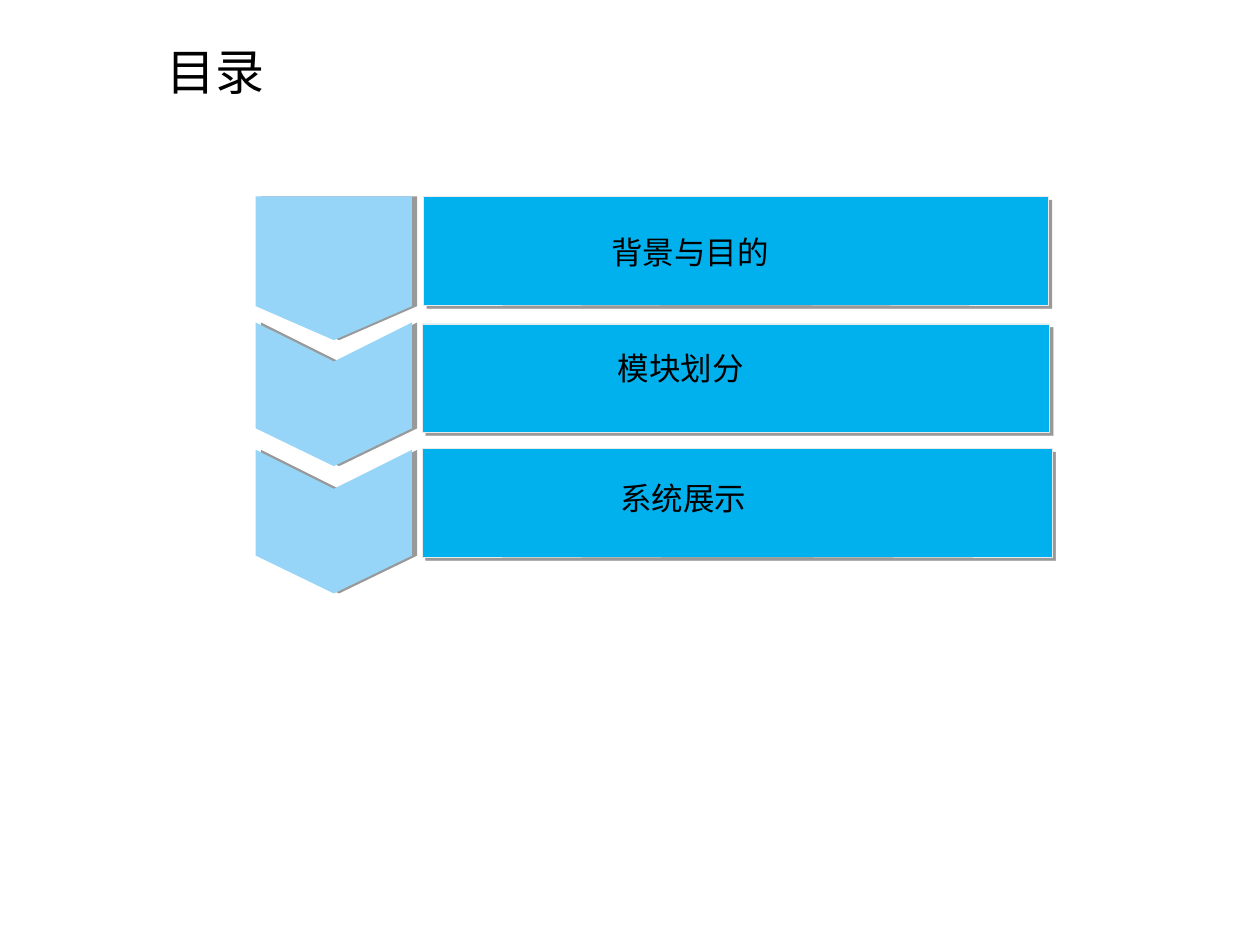
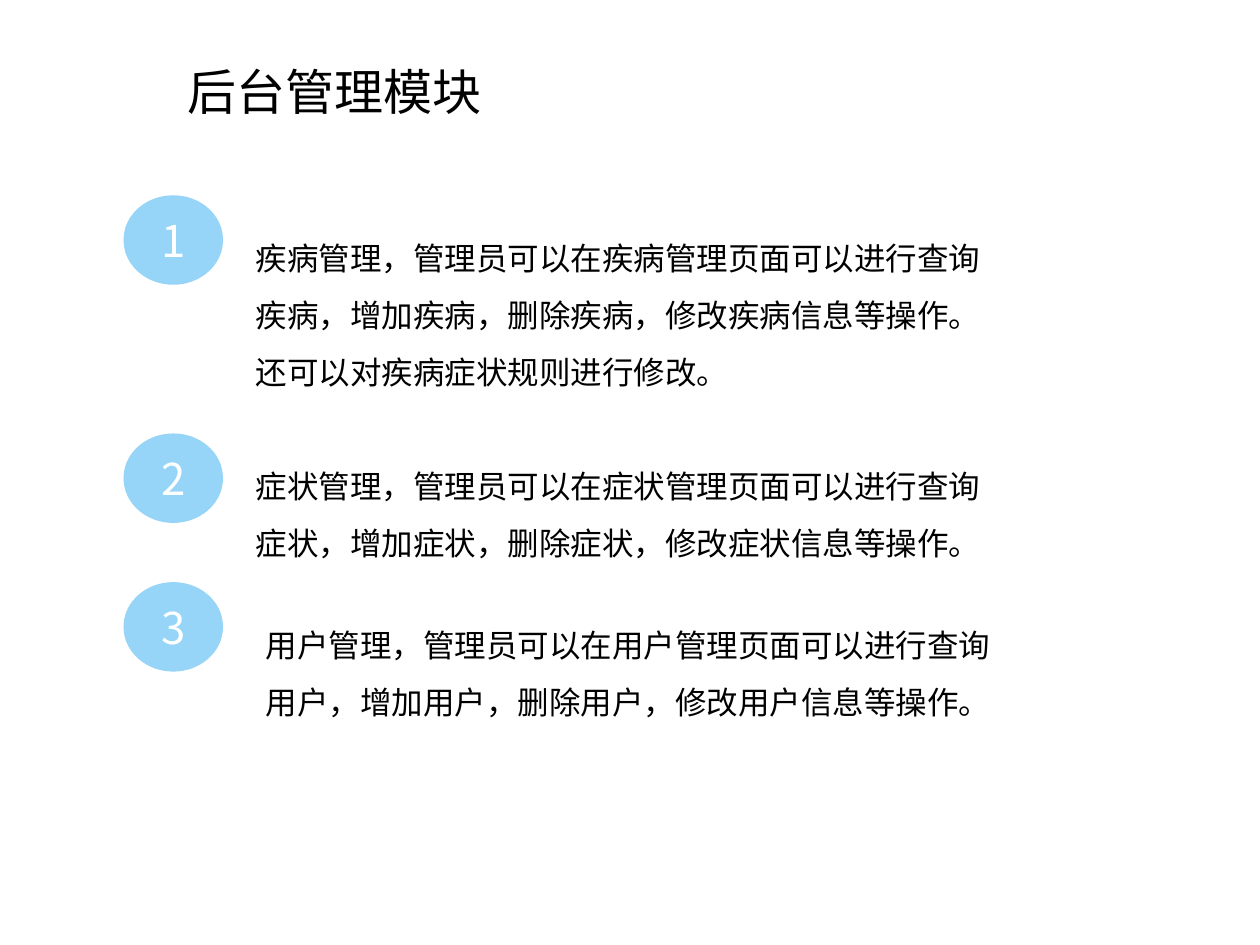
"""Build a contents slide and a back-office module slide."""
from lxml import etree
from pptx import Presentation, util as u
from pptx.dml.color import RGBColor
from pptx.enum import shapes, text
from pptx.oxml.ns import qn

BLUE, PALE, EDGE, BLACK, WHITE = "01B1ED", "96D5F7", "EAEAEA", "000000", "FFFFFF"
HAN, NUMERAL, LATIN = "Noto Sans CJK SC", "Noto Sans CJK JP", "Arial"
LEFT, CENTER = text.PP_ALIGN.LEFT, text.PP_ALIGN.CENTER


def paint(fill, color):
    fill.solid()
    fill.fore_color.rgb = RGBColor.from_string(color)


def write(box, words, size, align=LEFT, font=HAN, color=BLACK, spacing=1.0,
          anchor=text.MSO_ANCHOR.TOP):
    frame = box.text_frame
    frame.word_wrap = True
    frame.auto_size = text.MSO_AUTO_SIZE.NONE
    frame.vertical_anchor = anchor
    para = frame.paragraphs[0]
    para.alignment, para.line_spacing = align, spacing
    span = para.add_run()
    span.text = words
    span.font.size, span.font.name = u.Pt(size), font
    paint(span.font.fill, color)
    asian = etree.SubElement(span.font._element, qn("a:ea"))
    asian.set("typeface", HAN if font == LATIN else font)


deck = Presentation()
deck.slide_width, deck.slide_height = u.Inches(10), u.Inches(7.5)
col, row = deck.slide_width // 1000, deck.slide_height // 750

pages = []
for heading, left, top in [("目录", 122, 28), ("后台管理模块", 139, 44)]:
    page = deck.slides.add_slide(deck.slide_layouts[5])
    title = page.shapes.title
    title.left, title.top = left * col, top * row
    title.width, title.height = 320 * col, 57 * row
    write(title, heading, 28)
    pages.append(page)
contents, module = pages

chapters = [
    ("背景与目的", 156, 156, 336, 496, 461, 180, 0),
    ("模块划分", 257, 256, 335, 498, 454, 272, 31),
    ("系统展示", 356, 357, 335, 500, 456, 375, 31),
]
for chapter, bar_top, arrow_top, left, width, label_left, label_top, notch in chapters:
    bar = contents.shapes.add_shape(shapes.MSO_SHAPE.RECTANGLE,
                                    left * col, bar_top * row, width * col, 86 * row)
    paint(bar.fill, BLUE)
    paint(bar.line.fill, EDGE)
    bar.line.width = u.Pt(0.26)

    shoulder = 84 if notch else 87
    outline = [(265, notch), (327, 0), (327, shoulder), (265, 114), (203, shoulder)]
    builder = contents.shapes.build_freeform(203 * col, arrow_top * row, scale=1.0)
    builder.add_line_segments([(x * col, (arrow_top + y) * row) for x, y in outline])
    arrow = builder.convert_to_shape()
    paint(arrow.fill, PALE)
    arrow.line.fill.background()

    for shape, angle in [(bar, 45), (arrow, 0)]:
        shape.shadow.inherit = False
        effects = shape._element.spPr.find(qn("a:effectLst"))
        shadow = etree.SubElement(effects, qn("a:outerShdw"), blurRad="0",
                                  dist=str(u.Pt(3)), dir=str(angle * 60000),
                                  algn="ctr", rotWithShape="0")
        tint = etree.SubElement(shadow, qn("a:srgbClr"), val=BLACK)
        etree.SubElement(tint, qn("a:alpha"), val="40000")

    label = contents.shapes.add_textbox(label_left * col, label_top * row,
                                        173 * col, 40 * row)
    write(label, chapter, 18, CENTER)

duties = [
    ("疾病管理，管理员可以在疾病管理页面可以进行查询疾病，增加疾病，删除疾病，"
     "修改疾病信息等操作。还可以对疾病症状规则进行修改。", 155, 193, 170, 598, 145),
    ("症状管理，管理员可以在症状管理页面可以进行查询症状，增加症状，删除症状，"
     "修改症状信息等操作。", 344, 193, 351, 606, 100),
    ("用户管理，管理员可以在用户管理页面可以进行查询用户，增加用户，删除用户，"
     "修改用户信息等操作。", 462, 201, 477, 606, 130),
]
for number, (duty, badge_top, left, top, width, height) in enumerate(duties, 1):
    badge = module.shapes.add_shape(shapes.MSO_SHAPE.OVAL,
                                    98 * col, badge_top * row, 79 * col, 71 * row)
    paint(badge.fill, PALE)
    badge.line.fill.background()
    badge.shadow.inherit = False
    write(badge, str(number), 25, CENTER, NUMERAL, WHITE, anchor=text.MSO_ANCHOR.MIDDLE)
    box = module.shapes.add_textbox(left * col, top * row, width * col, height * row)
    write(box, duty, 18, font=LATIN, spacing=1.5)

deck.save("out.pptx")
